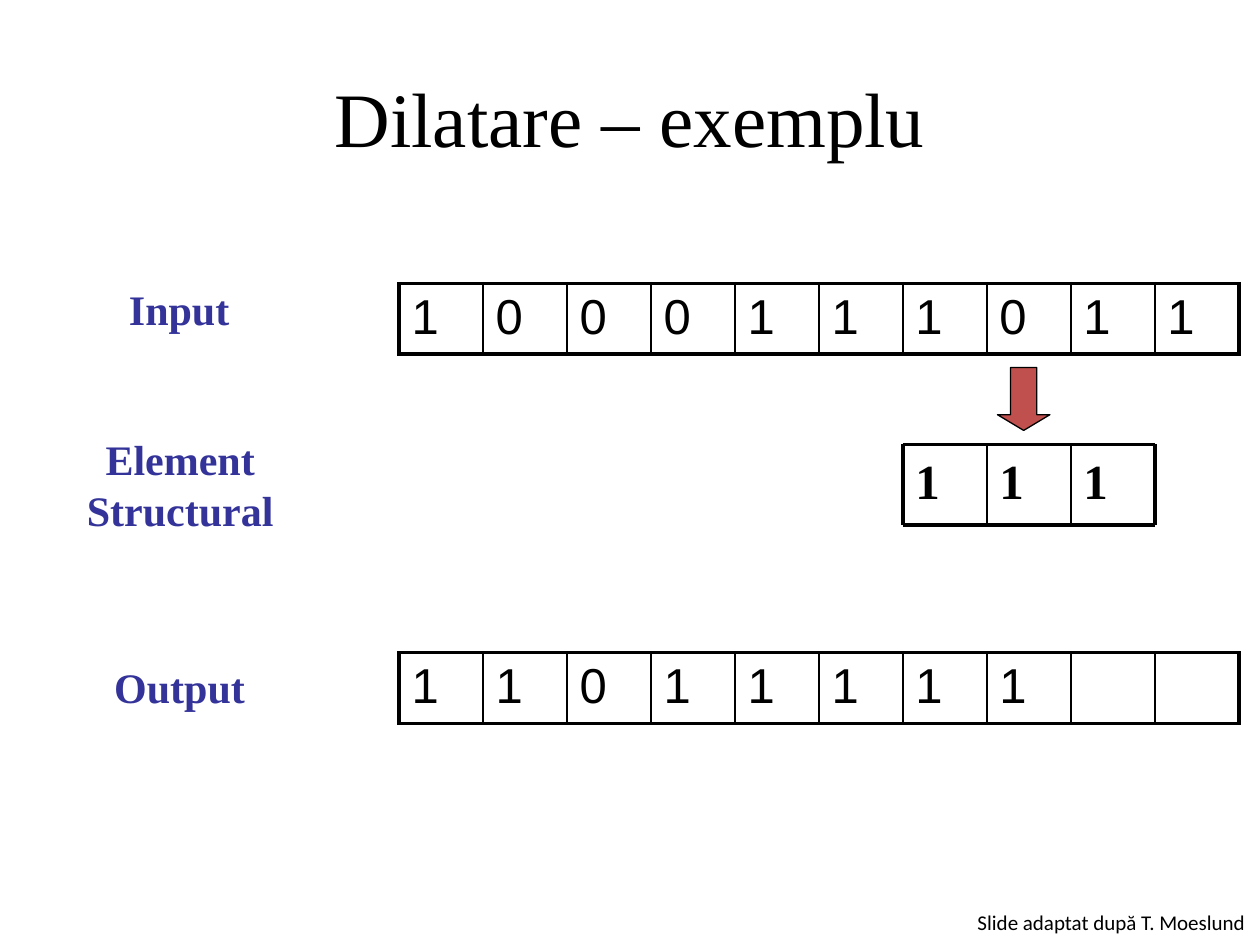
from lxml import etree
from pptx import Presentation
from pptx.dml.color import RGBColor
from pptx.enum.shapes import MSO_CONNECTOR, MSO_SHAPE
from pptx.enum.text import MSO_ANCHOR, MSO_AUTO_SIZE, PP_ALIGN
from pptx.oxml.ns import qn
from pptx.util import Pt

STRAIGHT = MSO_CONNECTOR.STRAIGHT
DOWN_ARROW = MSO_SHAPE.DOWN_ARROW
MIDDLE = MSO_ANCHOR.MIDDLE
FIT_SHAPE = MSO_AUTO_SIZE.SHAPE_TO_FIT_TEXT
LEFT, CENTER = PP_ALIGN.LEFT, PP_ALIGN.CENTER

BLACK, BLUE, RED = "000000", "333399", "C0504D"
SERIF = "Times New Roman"
THICK, THIN = 2.25, 1
CELL = 48
GRID_LEFT = 228
KERNEL_LEFT = GRID_LEFT + 6 * CELL
KERNEL_TOP, KERNEL_HEIGHT = 254, 46


def color(value):
    """Turn a hex string into a colour."""
    return RGBColor.from_string(value)


def format_paragraph(paragraph, size, font_name, ink=BLACK, bold=False, align=LEFT):
    """Set the alignment and font of a paragraph."""
    paragraph.alignment = align
    font = paragraph.font
    font.size, font.name, font.bold = Pt(size), font_name, bold
    font.color.rgb = color(ink)


def add_title(slide, text):
    """Place and format the slide title."""
    title = slide.shapes.title
    title.left, title.top, title.width, title.height = Pt(36), Pt(21.6), Pt(648), Pt(90)
    title.text_frame.text = text
    title.text_frame.vertical_anchor = MIDDLE
    format_paragraph(title.text_frame.paragraphs[0], 44, SERIF, align=CENTER)


def add_text(slide, text, left, top, width, height, size, font_name=SERIF,
             ink=BLACK, bold=False, align=LEFT, wrap=False):
    """Add a text box whose lines share one format."""
    box = slide.shapes.add_textbox(Pt(left), Pt(top), Pt(width), Pt(height))
    frame = box.text_frame
    frame.word_wrap = wrap
    if not wrap:
        frame.auto_size = FIT_SHAPE
    frame.text = text
    for paragraph in frame.paragraphs:
        format_paragraph(paragraph, size, font_name, ink, bold, align)


def set_border(cell, side, width):
    """Draw one black border of a table cell."""
    border = etree.SubElement(cell._tc.get_or_add_tcPr(), qn(f"a:ln{side}"), w=str(Pt(width)))
    fill = etree.SubElement(border, qn("a:solidFill"))
    etree.SubElement(fill, qn("a:srgbClr"), val=BLACK)


def add_signal(slide, values, top):
    """Add a one-row table with one value in each cell."""
    count, height = len(values), 40.4
    table = slide.shapes.add_table(
        1, count, Pt(GRID_LEFT), Pt(top), Pt(count * CELL), Pt(height)).table
    table.first_row = table.horz_banding = False
    for index, value in enumerate(values):
        table.columns[index].width = Pt(CELL)
        cell = table.cell(0, index)
        cell.text = value
        format_paragraph(cell.text_frame.paragraphs[0], 28, "Arial")
        set_border(cell, "L", THICK if index == 0 else THIN)
        set_border(cell, "R", THICK if index == count - 1 else THIN)
        set_border(cell, "T", THICK)
        set_border(cell, "B", THICK)
        cell.fill.background()


def add_line(slide, x1, y1, x2, y2, width):
    """Add a straight black line without shadow."""
    line = slide.shapes.add_connector(STRAIGHT, Pt(x1), Pt(y1), Pt(x2), Pt(y2))
    line.line.color.rgb = color(BLACK)
    line.line.width = Pt(width)
    etree.SubElement(line._element.spPr, qn("a:effectLst"))


def add_kernel(slide, values):
    """Draw the structuring element as values in a ruled grid."""
    count = len(values)
    right, bottom = KERNEL_LEFT + count * CELL, KERNEL_TOP + KERNEL_HEIGHT
    for index, value in enumerate(values):
        add_text(slide, value, KERNEL_LEFT + index * CELL, KERNEL_TOP, CELL,
                 KERNEL_HEIGHT, 28, bold=True, wrap=True)
    for y in (KERNEL_TOP, bottom):
        add_line(slide, KERNEL_LEFT, y, right, y, THICK)
    for index in range(count + 1):
        x = KERNEL_LEFT + index * CELL
        add_line(slide, x, KERNEL_TOP, x, bottom, THICK if index in (0, count) else THIN)


def add_position_arrow(slide):
    """Point from the current input value to the kernel centre."""
    arrow = slide.shapes.add_shape(DOWN_ARROW, Pt(570), Pt(210), Pt(30), Pt(36))
    arrow.adjustments[0], arrow.adjustments[1] = 0.5, 0.3
    arrow.shadow.inherit = False
    arrow.fill.solid()
    arrow.fill.fore_color.rgb = color(RED)
    arrow.line.color.rgb = color(BLACK)
    arrow.line.width = Pt(0.75)


def main():
    """Build the dilation example slide."""
    deck = Presentation()
    deck.slide_width, deck.slide_height = Pt(720), Pt(540)
    slide = deck.slides.add_slide(deck.slide_layouts[5])
    add_title(slide, "Dilatare – exemplu")
    add_signal(slide, list("1000111011"), 162)
    add_signal(slide, list("11011111") + ["", ""], 373)
    add_kernel(slide, "111")
    add_position_arrow(slide)
    for label, left, top, width, height in (
        ("Input", 66, 158.4, 72.7, 36),
        ("Element\nStructural", 41.8, 244.4, 122.4, 65.4),
        ("Output", 57.6, 374.4, 90, 36),
    ):
        add_text(slide, label, left, top, width, height, 24,
                 ink=BLUE, bold=True, align=CENTER)
    add_text(slide, "Slide adaptat după T. Moeslund", 551.5, 516.2, 170.6, 21.6, 12, "Calibri")
    deck.save("out.pptx")


if __name__ == "__main__":
    main()
